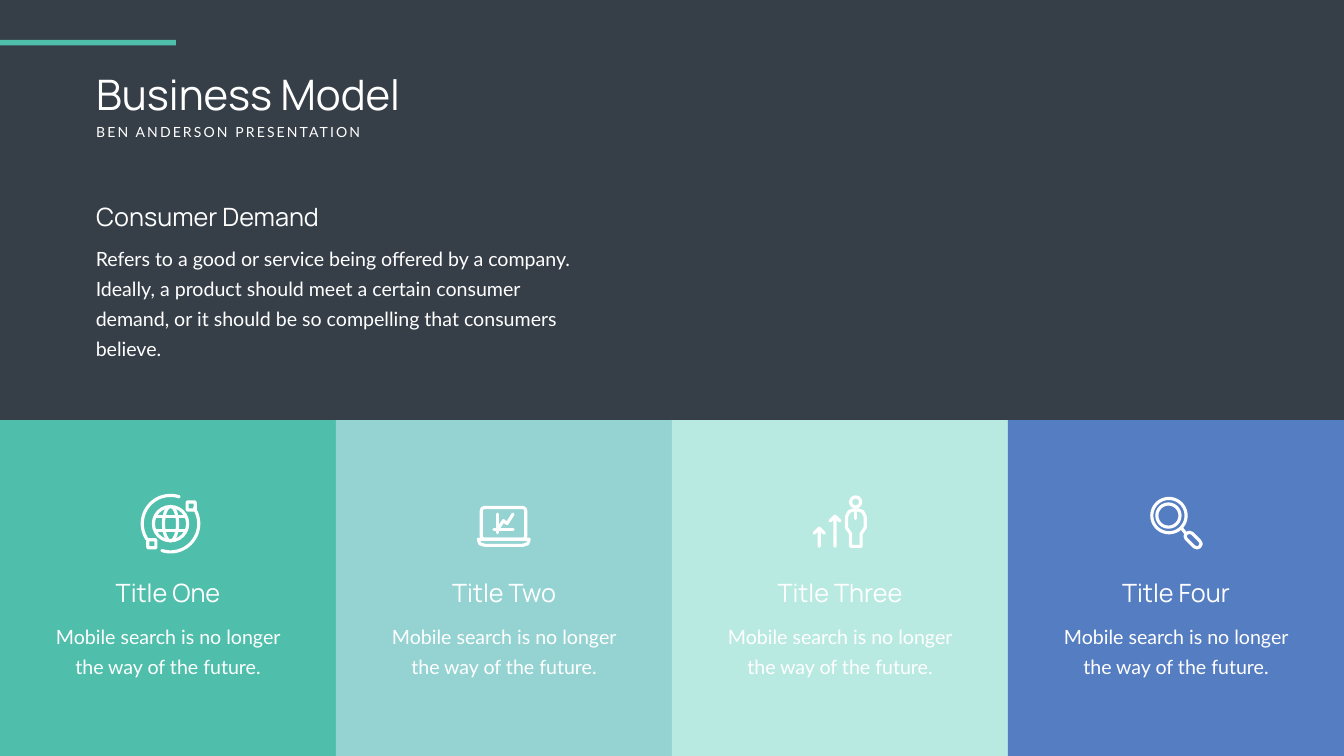
from math import cos, radians, sin

from lxml.etree import SubElement
from pptx import Presentation
from pptx.dml.color import RGBColor
from pptx.enum.shapes import MSO_CONNECTOR, MSO_SHAPE
from pptx.enum.text import MSO_AUTO_SIZE, PP_ALIGN
from pptx.oxml.ns import qn
from pptx.util import Inches, Pt

THEME = {
    "background": RGBColor.from_string("363E48"),
    "text": RGBColor.from_string("FFFFFF"),
    "tiles": [RGBColor.from_string(c) for c in ("4FBFAC", "95D3D3", "B9EAE1", "557DC2")],
    "heading": ("Manrope", Pt(60)),
    "title": ("Manrope", Pt(36)),
    "body": ("Lato", Pt(28)),
    "label": ("Lato", Pt(20)),
    "body_line": Pt(43),
    "stroke": Pt(4.5),
}

# Grid: four square tiles along the bottom edge
WIDTH, HEIGHT = Inches(26.66), Inches(15)
TILE = WIDTH // 4
TILE_TOP = HEIGHT - TILE
MARGIN = Inches(1.81)
ICON_LINE = Inches(10.39)

deck = Presentation()
deck.slide_width, deck.slide_height = WIDTH, HEIGHT
page = deck.slides.add_slide(deck.slide_layouts[6])
page.background.fill.solid()
page.background.fill.fore_color.rgb = THEME["background"]


def add_text(left, top, width, height, text, style, align=PP_ALIGN.LEFT):
    box = page.shapes.add_textbox(left, top, width, height)
    frame = box.text_frame
    frame.text = text
    frame.word_wrap = True
    frame.auto_size = MSO_AUTO_SIZE.SHAPE_TO_FIT_TEXT
    para = frame.paragraphs[0]
    para.alignment = align
    if style == "body":
        frame.margin_left = frame.margin_right = Inches(0.24)
        frame.margin_top = frame.margin_bottom = Inches(0.12)
        para.line_spacing = THEME["body_line"]
    span = para.runs[0]
    span.font.name, span.font.size = THEME[style]
    span.font.color.rgb = THEME["text"]
    return span


def draw_stroke(group, center, kind, points):
    """Draw one icon stroke; points are inches from the icon's centre."""
    spots = [(center + Inches(x), ICON_LINE + Inches(y)) for x, y in points]
    (left, top), (right, bottom) = spots[0], spots[-1]
    if kind == "line":
        shape = group.shapes.add_connector(MSO_CONNECTOR.STRAIGHT, left, top, right, bottom)
        SubElement(shape._element.spPr, qn("a:effectLst"))
    else:
        if kind in ("path", "loop"):
            builder = group.shapes.build_freeform(left, top)
            builder.add_line_segments(spots[1:], close=kind == "loop")
            shape = builder.convert_to_shape()
        else:
            preset = {"oval": MSO_SHAPE.OVAL, "box": MSO_SHAPE.ROUNDED_RECTANGLE}[kind]
            shape = group.shapes.add_shape(preset, left, top, right - left, bottom - top)
            if kind == "box":
                shape.adjustments[0] = 0.1
        shape.fill.background()
        shape.shadow.inherit = False
    shape.line.color.rgb = THEME["text"]
    shape.line.width = THEME["stroke"]
    outline = shape._element.spPr.find(qn("a:ln"))
    outline.set("cap", "rnd")
    SubElement(outline, qn("a:round"))


# Header with accent bar
add_text(MARGIN, Inches(1.3), Inches(9.71), Inches(1.11), "Business Model", "heading")
bar = page.shapes.add_shape(MSO_SHAPE.RECTANGLE, 0, Inches(0.79), Inches(3.49), Inches(0.11))
bar.shadow.inherit = False
bar.fill.solid()
bar.fill.fore_color.rgb = THEME["tiles"][0]
bar.line.fill.background()
subtitle = add_text(MARGIN, Inches(2.4), Inches(5.85), Inches(0.44),
                    "BEN ANDERSON PRESENTATION", "label")
subtitle.font._element.set("spc", "300")

# Introduction
add_text(Inches(1.66), Inches(4.65), Inches(10.44), Inches(1.98),
         "Refers to a good or service being offered by a company. Ideally, a product should "
         "meet a certain consumer demand, or it should be so compelling that consumers believe.",
         "body")
add_text(MARGIN, Inches(3.94), Inches(6.09), Inches(0.71), "Consumer Demand", "title")

# Icon strokes, in inches from each icon's centre
orbits = [[(0.05 + 0.56 * cos(radians(a)), 0.56 * sin(radians(a)))
           for a in range(start, start + 142, 3)] for start in (147, 327)]
globe = [
    ("oval", [(-0.29, -0.34), (0.39, 0.34)]),
    ("oval", [(-0.09, -0.34), (0.19, 0.34)]),
    ("line", [(-0.24, -0.14), (0.34, -0.14)]),
    ("line", [(-0.24, 0.14), (0.34, 0.14)]),
    ("path", orbits[0]),
    ("path", orbits[1]),
    ("box", [(-0.4, 0.32), (-0.24, 0.48)]),
    ("box", [(0.38, -0.43), (0.54, -0.27)]),
]
laptop = [
    ("box", [(-0.45, -0.32), (0.43, 0.31)]),
    ("loop", [(-0.51, 0.31), (0.5, 0.31), (0.47, 0.4), (0.37, 0.43), (-0.38, 0.43), (-0.48, 0.4)]),
    ("line", [(-0.13, -0.19), (-0.13, 0.18)]),
    ("line", [(-0.2, 0.12), (0.18, 0.12)]),
    ("path", [(-0.13, 0.12), (-0.01, -0.06), (0.06, 0), (0.18, -0.19)]),
]
growth = [
    ("oval", [(0.21, -0.53), (0.41, -0.33)]),
    ("loop", [(0.13, -0.14), (0.13, 0.08), (0.21, 0.2), (0.21, 0.45), (0.42, 0.45), (0.42, 0.2),
              (0.5, 0.08), (0.5, -0.14), (0.45, -0.24), (0.37, -0.27), (0.26, -0.27), (0.18, -0.24)]),
    ("line", [(0.31, -0.27), (0.31, -0.1)]),
]
for x, tip in ((-0.1, -0.15), (-0.41, 0.09)):
    growth.append(("path", [(x, 0.45), (x, tip), (x - 0.1, tip + 0.1), (x, tip),
                            (x + 0.1, tip + 0.1)]))
lens = [(-0.14 + 0.34 * cos(radians(a)), -0.16 + 0.34 * sin(radians(a)))
        for a in range(45, 406, 5)]
handle = [(0.2, 0.2), (0.18, 0.25), (0.2, 0.3), (0.36, 0.46), (0.42, 0.48), (0.47, 0.46),
          (0.5, 0.4), (0.47, 0.34), (0.32, 0.19), (0.26, 0.17), (0.2, 0.2)]
magnifier = [
    ("oval", [(-0.38, -0.39), (0.08, 0.07)]),
    ("path", lens + handle),
]

# Tiles with icon, title and text
titles = ["Title One", "Title Two", "Title Three", "Title Four"]
icons = [globe, laptop, growth, magnifier]
text_width = Inches(5.14)
for column, (title, icon, color) in enumerate(zip(titles, icons, THEME["tiles"])):
    left = column * TILE
    tile = page.shapes.add_shape(MSO_SHAPE.RECTANGLE, left, TILE_TOP, TILE, TILE)
    tile.shadow.inherit = False
    tile.fill.solid()
    tile.fill.fore_color.rgb = color
    tile.line.fill.background()
    text_left = left + (TILE - text_width) // 2
    add_text(text_left, Inches(12.15), text_width, Inches(1.38),
             "Mobile search is no longer the way of the future.", "body", PP_ALIGN.CENTER)
    add_text(text_left, Inches(11.4), text_width, Inches(0.71), title, "title", PP_ALIGN.CENTER)
    group = page.shapes.add_group_shape()
    for kind, points in icon:
        draw_stroke(group, left + TILE // 2, kind, points)

deck.save("out.pptx")
